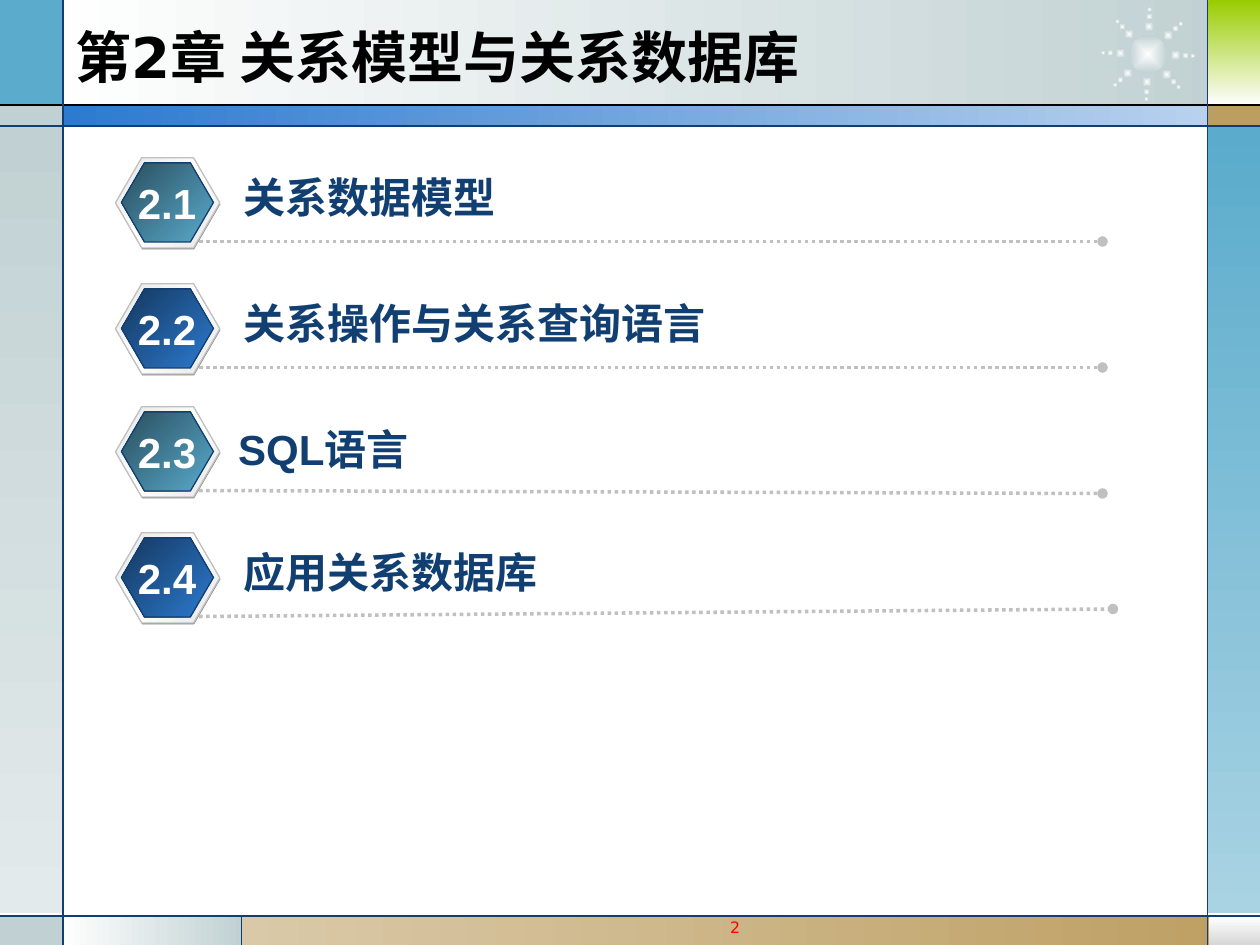
import copy
import math
from dataclasses import dataclass
from typing import Any, Optional, Union

import lxml.etree
import pptx
import pptx.dml.color
import pptx.enum.dml
import pptx.enum.shapes
import pptx.enum.text
import pptx.oxml
import pptx.oxml.ns
import pptx.util

Pt = pptx.util.Pt
qn = pptx.oxml.ns.qn
Shapes = pptx.enum.shapes.MSO_SHAPE
Align = pptx.enum.text.PP_ALIGN
Anchor = pptx.enum.text.MSO_ANCHOR
AutoSize = pptx.enum.text.MSO_AUTO_SIZE


@dataclass(frozen=True)
class Theme:
    navy: str = "113F71"
    black: str = "000000"
    white: str = "FFFFFF"
    red: str = "FF0000"
    mist: str = "C1D1D3"
    pale: str = "FEFEFE"
    sky: str = "5AABCC"
    sand: str = "BD9E61"
    silver: str = "C0C0C0"
    shade: str = "808080"
    body_font: str = "Arial"
    title_font: str = "DejaVu Sans"
    title_size: float = 32
    body_size: float = 24
    number_size: float = 9


THEME = Theme()


@dataclass(frozen=True)
class Gradient:
    colors: tuple[str, ...]
    angle: Optional[float]


@dataclass(frozen=True)
class Box:
    left: float
    top: float
    width: float
    height: float

    def lengths(self) -> tuple[Any, ...]:
        return Pt(self.left), Pt(self.top), Pt(self.width), Pt(self.height)


@dataclass(frozen=True)
class Panel:
    box: Box
    fill: Union[str, Gradient]


@dataclass(frozen=True)
class Rule:
    start: tuple[float, float]
    end: tuple[float, float]
    color: str = THEME.navy
    width: float = 0.75


@dataclass(frozen=True)
class Section:
    number: str
    heading: str
    badge_top: float
    heading_box: Box
    rule_end: tuple[float, float]
    face: Gradient


def rgb(color: str) -> Any:
    return pptx.dml.color.RGBColor.from_string(color)


def assign(target: Any, values: dict[str, Any]) -> None:
    for name, value in values.items():
        setattr(target, name, value)


def paint(shape: Any, fill: Union[str, Gradient]) -> None:
    if isinstance(fill, str):
        shape.fill.solid()
        shape.fill.fore_color.rgb = rgb(fill)
        return
    shape.fill.gradient()
    gradient = shape._element.spPr.find(qn("a:gradFill"))
    stop_list = gradient.find(qn("a:gsLst"))
    while len(stop_list) < len(fill.colors):
        stop_list.append(copy.deepcopy(stop_list[-1]))
    last = len(fill.colors) - 1
    for index, (stop, color) in enumerate(zip(shape.fill.gradient_stops, fill.colors)):
        stop.color.rgb = rgb(color)
        stop.position = index / last
    if fill.angle is not None:
        shape.fill.gradient_angle = fill.angle
        return
    gradient.remove(gradient.find(qn("a:lin")))
    radial = lxml.etree.SubElement(gradient, qn("a:path"), {"path": "rect"})
    lxml.etree.SubElement(radial, qn("a:fillToRect"), dict.fromkeys("ltrb", "50000"))


def draw_shape(slide: Any, kind: Any, panel: Panel, outline: Optional[str] = None) -> Any:
    shape = slide.shapes.add_shape(kind, *panel.box.lengths())
    shape.shadow.inherit = False
    paint(shape, panel.fill)
    if outline:
        shape.line.color.rgb = rgb(outline)
        shape.line.width = Pt(0.75)
    else:
        shape.line.fill.background()
    return shape


def draw_rule(slide: Any, rule: Rule, dotted: bool = False) -> None:
    ends = [Pt(value) for value in (*rule.start, *rule.end)]
    connector = slide.shapes.add_connector(pptx.enum.shapes.MSO_CONNECTOR.STRAIGHT, *ends)
    connector.line.color.rgb = rgb(rule.color)
    connector.line.width = Pt(rule.width)
    if dotted:
        connector.line.dash_style = pptx.enum.dml.MSO_LINE.ROUND_DOT
        lxml.etree.SubElement(connector.line._ln, qn("a:tailEnd"), {"type": "oval"})
    lxml.etree.SubElement(connector._element.spPr, qn("a:effectLst"))


def write(shape: Any, text: str, align: Any, color: str, font: dict[str, Any], frame: dict[str, Any]) -> None:
    assign(shape.text_frame, frame)
    paragraph = shape.text_frame.paragraphs[0]
    paragraph.alignment = align
    run = paragraph.add_run()
    run.text = text
    assign(run.font, font)
    run.font.color.rgb = rgb(color)


BODY_FONT = {"name": THEME.body_font, "size": Pt(THEME.body_size), "bold": True}
TITLE_FONT = {"name": THEME.title_font, "size": Pt(THEME.title_size), "bold": True}
NUMBER_FONT = {"name": THEME.title_font, "size": Pt(THEME.number_size), "bold": False}
GROWING = {"word_wrap": False, "auto_size": AutoSize.SHAPE_TO_FIT_TEXT}
WRAPPED = {"word_wrap": True, "auto_size": AutoSize.NONE}

MIST_ACROSS = Gradient((THEME.mist, THEME.pale), 180)
TEAL = Gradient((THEME.sky, "294E5E"), 135)
BLUE = Gradient(("2D7ACF", "14385F"), 135)
RIM = Gradient(("E6E6E6", THEME.white, "E6E6E6"), 135)
GLOW = Gradient((THEME.pale, THEME.mist), None)

WIDTH, HEIGHT = 720, 540
LEFT, RIGHT, HEAD, BAND, FOOT, TAB = 36, 690, 60, 72, 523.5, 138

FRAME = (
    Panel(Box(LEFT, 0, 667, HEAD), MIST_ACROSS),
    Panel(Box(0, 0, LEFT, HEAD), THEME.sky),
    Panel(Box(0, HEAD, LEFT, BAND - HEAD), THEME.mist),
    Panel(Box(0, BAND, LEFT, 450), Gradient((THEME.mist, "E3EAEB"), 270)),
    Panel(Box(0, FOOT, LEFT, HEIGHT - FOOT), THEME.mist),
    Panel(Box(LEFT, FOOT, TAB - LEFT, HEIGHT - FOOT), MIST_ACROSS),
    Panel(Box(TAB, FOOT, WIDTH - TAB, HEIGHT - FOOT), Gradient((THEME.sand, "DAC9A8"), 180)),
    Panel(Box(691, FOOT, WIDTH - 691, HEIGHT - FOOT), Gradient((THEME.white, "D7D7D7"), 270)),
    Panel(Box(RIGHT, BAND, WIDTH - RIGHT, 450), Gradient((THEME.sky, "A9D3E3"), 270)),
    Panel(Box(RIGHT, HEAD, WIDTH - RIGHT, BAND - HEAD), THEME.sand),
    Panel(Box(690.5, 0, WIDTH - 690.5, HEAD), Gradient(("99CC00", THEME.pale), 270)),
    Panel(Box(LEFT, HEAD, 654.5, BAND - HEAD), Gradient(("B8D1EE", "2D7ACF"), 180)),
)
FRAME_RULES = (
    Rule((0, HEAD), (WIDTH, HEAD), THEME.black),
    Rule((0, BAND), (WIDTH, BAND)),
    Rule((0, FOOT), (WIDTH, FOOT)),
    Rule((LEFT, 0), (LEFT, HEIGHT)),
    Rule((RIGHT, 0), (RIGHT, HEIGHT)),
    Rule((TAB, FOOT), (TAB, HEIGHT)),
)
SECTIONS = (
    Section("2.1", "关系数据模型", 90, Box(132, 94.3, 160, 36), (630, 138), TEAL),
    Section("2.2", "关系操作与关系查询语言", 162, Box(132, 166.3, 281, 36), (630, 210), BLUE),
    Section("2.3", "SQL语言", 232.3, Box(129, 238.3, 118, 36), (630, 282), TEAL),
    Section("2.4", "应用关系数据库", 304.3, Box(132, 308.9, 184, 36), (636, 348), BLUE),
)


def draw_starburst(slide: Any, center_x: float, center_y: float) -> None:
    def dot(x: float, y: float, size: float) -> None:
        box = Box(x - size / 2, y - size / 2, size, size)
        draw_shape(slide, Shapes.OVAL, Panel(box, GLOW))

    dot(center_x, center_y, 21.6)
    for arm in range(8):
        angle = math.radians(45 * arm + 2)
        for radius, size in ((15.8, 5.6), (21.5, 3.8), (25.6, 2.8)):
            dot(center_x + radius * math.cos(angle), center_y + radius * math.sin(angle), size)


def draw_section(slide: Any, section: Section) -> None:
    top = section.badge_top
    layers = (
        (Panel(Box(66.3, top + 0.8, 59.6, 51.8), THEME.shade), None),
        (Panel(Box(66, top, 59.6, 51.8), RIM), THEME.silver),
        (Panel(Box(69.4, top + 3, 52.6, 45.4), section.face), THEME.navy),
    )
    for panel, outline in layers:
        hexagon = draw_shape(slide, Shapes.HEXAGON, panel, outline)
        hexagon.adjustments[0] = 0.29
        hexagon.adjustments[1] = 1.15
    draw_rule(slide, Rule((113.8, top + 48), section.rule_end, THEME.silver, 2), dotted=True)
    heading = slide.shapes.add_textbox(*section.heading_box.lengths())
    heading_frame = {**WRAPPED, "word_wrap": False}
    write(heading, section.heading, Align.LEFT, THEME.navy, BODY_FONT, heading_frame)
    number = slide.shapes.add_textbox(*Box(71.7, top + 8, 47.5, 36).lengths())
    write(number, section.number, Align.CENTER, THEME.white, BODY_FONT, GROWING)


def main() -> None:
    deck = pptx.Presentation()
    assign(deck, {"slide_width": Pt(WIDTH), "slide_height": Pt(HEIGHT)})
    slide = deck.slides.add_slide(deck.slide_layouts[5])
    for panel in FRAME:
        draw_shape(slide, Shapes.RECTANGLE, panel)
    draw_starburst(slide, 656, 31)
    for rule in FRAME_RULES:
        draw_rule(slide, rule)
    title = slide.shapes.title
    slide.shapes._spTree.append(title._element)
    assign(title, dict(zip(("left", "top", "width", "height"), Box(36, 9.8, 642, 44.6).lengths())))
    title_frame = {**WRAPPED, "vertical_anchor": Anchor.MIDDLE}
    write(title, "第2章 关系模型与关系数据库", Align.LEFT, THEME.black, TITLE_FONT, title_frame)
    for section in SECTIONS:
        draw_section(slide, section)
    page_number = slide.shapes.add_textbox(*Box(336, 521, 168, 13.7).lengths())
    write(page_number, "2", Align.CENTER, THEME.red, NUMBER_FONT, WRAPPED)
    deck.save("out.pptx")


if __name__ == "__main__":
    main()
